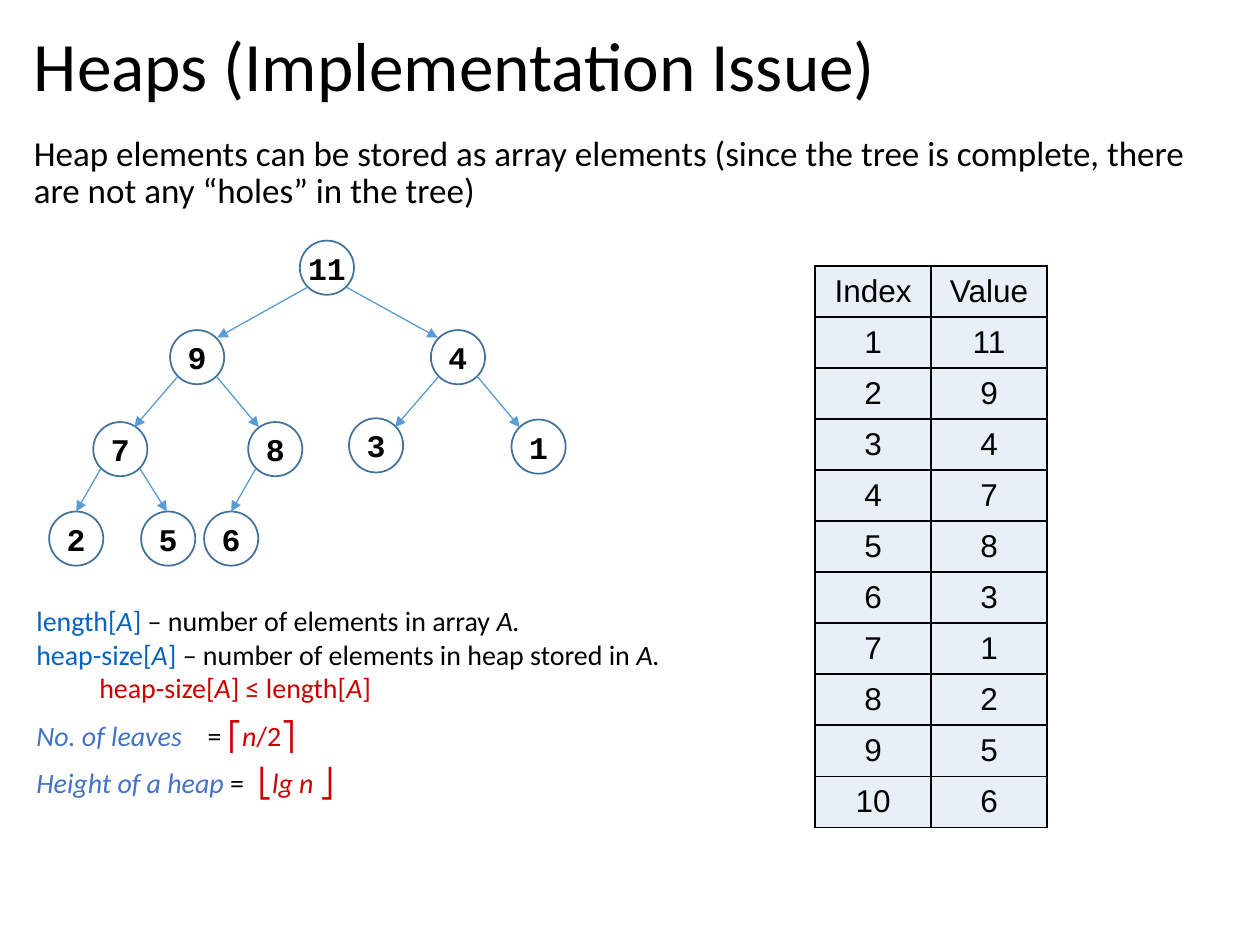
from lxml.etree import SubElement as Sub
from pptx import Presentation
from pptx.dml.color import RGBColor as Rgb
from pptx.enum.shapes import MSO_CONNECTOR as Link, MSO_SHAPE as Kind
from pptx.enum.text import MSO_ANCHOR as Anchor, PP_ALIGN as Align
from pptx.oxml.ns import qn
from pptx.util import Inches, Pt

BLACK = Rgb(0x00, 0x00, 0x00)
RING = Rgb(0x42, 0x71, 0x9B)
ARROW = Rgb(0x5B, 0x9B, 0xD5)
TERM = Rgb(0x05, 0x63, 0xC1)
LABEL = Rgb(0x44, 0x72, 0xC4)
RED = Rgb(0xCC, 0x00, 0x00)
CELL = Rgb(0xE9, 0xEF, 0xF7)

COLS, ROWS = 100, 75
WIDTH, HEIGHT = Inches(10), Inches(7.5)

HEAP = [11, 9, 4, 7, 8, 3, 1, 2, 5, 6]
SPOTS = [(25.95, 21.25), (15.65, 28.35), (36.35, 28.35),
         (9.55, 35.65), (21.85, 35.65), (29.85, 35.35), (42.75, 35.45),
         (6.05, 42.75), (13.35, 42.75), (18.35, 42.75)]
NODE, EDGE = 4.3, 1.55
TIPS = [(-8.7, 8.8, 5.55), (-5, 4.9, 5.55), (-3.5, 3.7, 4.95)]

NOTES = [
    (0, 0, None, [("length[", TERM, False), ("A", TERM, True), ("]", TERM, False),
                  (" – number of elements in array ", BLACK, False), ("A.", BLACK, True)]),
    (0, 0, None, [("heap-size[", TERM, False), ("A", TERM, True), ("]", TERM, False),
                  (" – number of elements in heap stored in ", BLACK, False),
                  ("A.", BLACK, True)]),
    (5, 0, None, [("heap-size[", RED, False), ("A", RED, True),
                  ("] ≤ length[", RED, False), ("A", RED, True), ("]", RED, False)]),
    (0, 8, 13.6, [("No. of leaves\t", LABEL, True), ("= ", BLACK, False),
                  ("⎡", RED, False), ("n", RED, True), ("/2⎤", RED, False)]),
    (0, 8, 17.6, [("Height of a heap ", LABEL, True), ("=\t", BLACK, False),
                  ("⎣", RED, False), ("lg n", RED, True), (" ⎦", RED, False)]),
]


def col(n):
    return round(WIDTH * n / COLS)


def row(n):
    return round(HEIGHT * n / ROWS)


def style(font, name, size, bold=None):
    font.name, font.size, font.bold = name, Pt(size), bold
    font.color.rgb = BLACK


def add_box(slide, x, y, w, h, anchor=Anchor.TOP):
    frame = slide.shapes.add_textbox(col(x), row(y), col(w), row(h)).text_frame
    frame.word_wrap = True
    frame.vertical_anchor = anchor
    return frame


def add_text(slide, x, y, w, h, text, size, anchor=Anchor.TOP):
    para = add_box(slide, x, y, w, h, anchor).paragraphs[0]
    para.text = text
    para.line_spacing = 0.9
    style(para.font, "Calibri", size)


def add_notes(slide):
    frame = add_box(slide, 1.9, 47.4, 60.1, 19.9)
    for i, (indent, gap, stop, runs) in enumerate(NOTES):
        para = frame.add_paragraph() if i else frame.paragraphs[0]
        if gap:
            para.space_before = Pt(gap)
        props = para._p.get_or_add_pPr()
        if indent:
            para.level = 1
            props.set("marL", str(col(indent)))
            props.set("indent", "0")
        if stop:
            tabs = Sub(props, qn("a:tabLst"))
            Sub(tabs, qn("a:tab"), pos=str(col(stop)), algn="l")
        style(para.font, "Calibri", 16)
        for text, color, slant in runs:
            run = para.add_run()
            run.text = text
            style(run.font, "Calibri", 16)
            run.font.color.rgb = color
            run.font.italic = slant


def add_node(slide, spot, value):
    x, y = spot
    shape = slide.shapes.add_shape(
        Kind.OVAL, col(x - NODE / 2), row(y - NODE / 2), col(NODE), row(NODE))
    shape.shadow.inherit = False
    shape.fill.background()
    shape.line.color.rgb = RING
    shape.line.width = Pt(1)
    frame = shape.text_frame
    frame.margin_left = frame.margin_right = 0
    frame.margin_top = frame.margin_bottom = 0
    frame.vertical_anchor = Anchor.MIDDLE
    para = frame.paragraphs[0]
    para.text = str(value)
    para.alignment = Align.CENTER
    style(para.font, "Courier New", 18, True)


def add_edge(slide, child):
    parent = child // 2
    x, y = SPOTS[parent - 1]
    left, right, drop = TIPS[parent.bit_length() - 1]
    side, reach = (EDGE, right) if child % 2 else (-EDGE, left)
    link = slide.shapes.add_connector(
        Link.STRAIGHT, col(x + side), row(y + EDGE), col(x + reach), row(y + drop))
    link.line.color.rgb = ARROW
    link.line.width = Pt(0.75)
    Sub(link.line._get_or_add_ln(), qn("a:tailEnd"), type="triangle")
    Sub(link._element.spPr, qn("a:effectLst"))


def fill_cell(cell, text):
    props = cell._tc.get_or_add_tcPr()
    for side in ("lnL", "lnR", "lnT", "lnB"):
        line = Sub(props, qn("a:" + side), w=str(Pt(1)))
        fill = Sub(line, qn("a:solidFill"))
        Sub(fill, qn("a:srgbClr"), val=str(BLACK))
    cell.fill.solid()
    cell.fill.fore_color.rgb = CELL
    cell.vertical_anchor = Anchor.MIDDLE
    para = cell.text_frame.paragraphs[0]
    para.text = str(text)
    para.alignment = Align.CENTER
    style(para.font, "Arial", 18)


def add_array(slide):
    data = [("Index", "Value"), *enumerate(HEAP, 1)]
    table = slide.shapes.add_table(
        len(data), 2, col(64.7), row(21.1), col(18.4), row(44.6)).table
    table.first_row = table.horz_banding = False
    for r, pair in enumerate(data):
        for c, text in enumerate(pair):
            fill_cell(table.cell(r, c), text)


def main():
    deck = Presentation()
    deck.slide_width, deck.slide_height = WIDTH, HEIGHT
    slide = deck.slides.add_slide(deck.slide_layouts[6])
    add_text(slide, 1.7, 10.3, 96.2, 57.3,
             "Heap elements can be stored as array elements (since the tree is "
             "complete, there are not any “holes” in the tree)", 20)
    for spot, value in zip(SPOTS, HEAP):
        add_node(slide, spot, value)
    for child in range(2, len(HEAP) + 1):
        add_edge(slide, child)
    add_notes(slide)
    add_array(slide)
    add_text(slide, 1.7, 1.8, 96.2, 7.4,
             "Heaps (Implementation Issue)", 39.6, Anchor.MIDDLE)
    deck.save("out.pptx")


if __name__ == "__main__":
    main()
